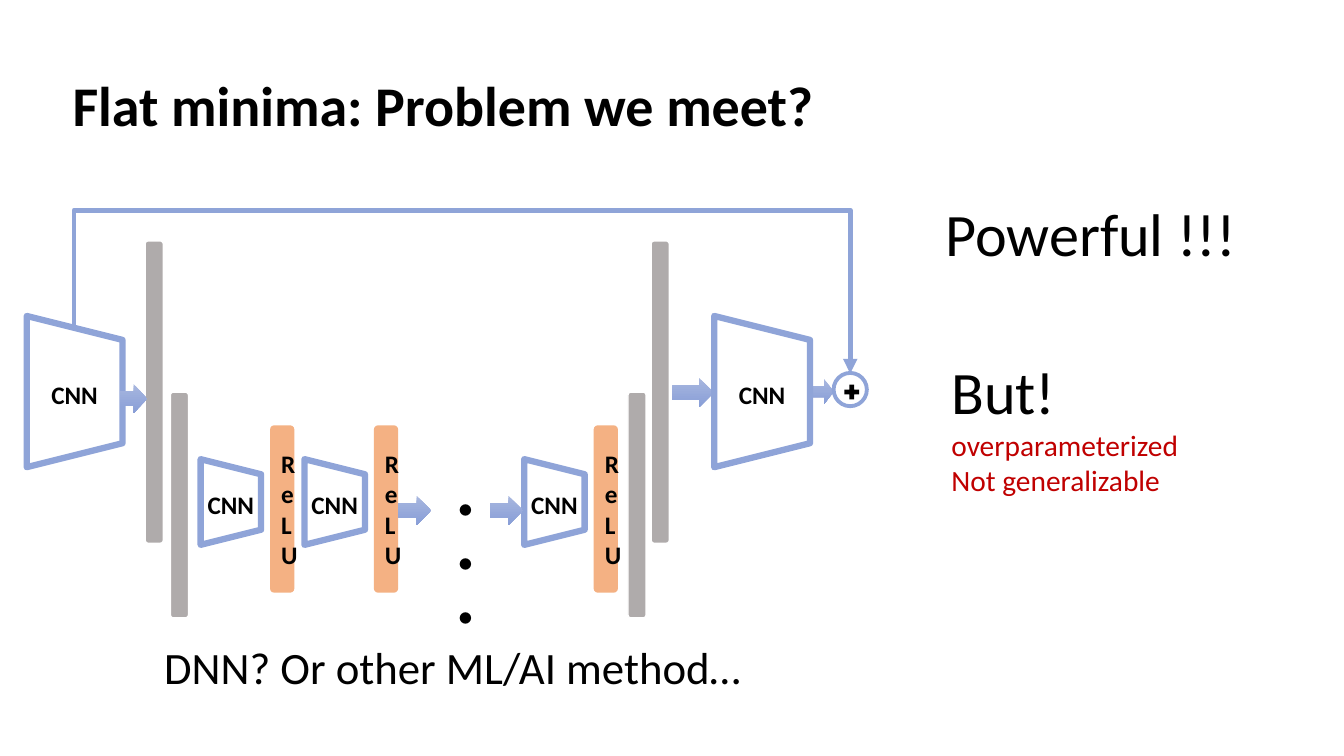
from dataclasses import dataclass

from lxml.etree import SubElement
from pptx import Presentation
from pptx.dml.color import RGBColor
from pptx.enum.shapes import MSO_CONNECTOR, MSO_SHAPE
from pptx.enum.text import MSO_ANCHOR, PP_ALIGN
from pptx.oxml.ns import qn
from pptx.util import Inches, Pt


@dataclass(frozen=True)
class Theme:
    """Colours, fonts and type sizes."""
    ink: str = "000000"
    paper: str = "FFFFFF"
    blue: str = "8FA4D8"
    light: str = "A8B7DF"
    dark: str = "889ED7"
    orange: str = "F4B183"
    gray: str = "AFABAB"
    red: str = "C00000"
    font: str = "Calibri"
    east: str = "Noto Sans CJK SC"
    title: int = 40
    huge: int = 43
    large: int = 32
    note: int = 21
    label: int = 18


THEME = Theme()
COLS, ROWS = 133.33, 75


def grid(*cells):
    """Turn grid cells of a tenth of an inch into lengths."""
    return [Inches(cell / 10) for cell in cells]


def rgb(code):
    """Make a colour from its hex code."""
    return RGBColor.from_string(code)


def style(para, size, color=THEME.ink, bold=False, font=THEME.font):
    """Set the font of a paragraph."""
    face = para.font
    face.name, face.size, face.bold = font, Pt(size), bold
    face.color.rgb = rgb(color)


def write(shapes, box, lines, align=PP_ALIGN.LEFT, **look):
    """Add a text box from pairs of text, size and colour."""
    frame = shapes.add_textbox(*grid(*box)).text_frame
    frame.word_wrap = True
    for i, (text, size, color) in enumerate(lines):
        para = frame.add_paragraph() if i else frame.paragraphs[0]
        para.text, para.alignment = text, align
        style(para, size, color, **look)
    return frame


def draw(shapes, kind, box, fill=None, line=None, width=1):
    """Add a preset shape with a plain fill and outline."""
    shape = shapes.add_shape(kind, *grid(*box))
    shape.shadow.inherit = False
    if fill:
        shape.fill.solid()
        shape.fill.fore_color.rgb = rgb(fill)
    else:
        shape.fill.background()
    if line:
        shape.line.color.rgb = rgb(line)
        shape.line.width = Pt(width)
    else:
        shape.line.fill.background()
    return shape


def arrow(shapes, box, adjust=()):
    """Add a shaded block arrow."""
    shape = draw(shapes, MSO_SHAPE.RIGHT_ARROW, box)
    shape.fill.gradient()
    shape.fill.gradient_angle = 270
    for stop, color in zip(shape.fill.gradient_stops, (THEME.light, THEME.dark)):
        stop.color.rgb = rgb(color)
    for i, value in enumerate(adjust):
        shape.adjustments[i] = value


def cnn(shapes, mid, row, tall, deep, span, top):
    """Add a labelled CNN block, turned to narrow rightwards."""
    group = shapes.add_group_shape().shapes
    box = (mid - tall / 2, row - deep / 2, tall, deep)
    block = draw(group, MSO_SHAPE.TRAPEZOID, box, THEME.paper, THEME.blue, 4.5)
    block.rotation = 90
    write(group, (mid - span / 2, top, span, 4),
          [("CNN", THEME.label, THEME.ink)], PP_ALIGN.CENTER, bold=True)


def relu(shapes, left):
    """Add an orange ReLU bar."""
    bar = draw(shapes, MSO_SHAPE.ROUNDED_RECTANGLE, (left, 42.2, 2.4, 16.6), THEME.orange)
    frame = bar.text_frame
    frame.word_wrap = True
    frame.vertical_anchor = MSO_ANCHOR.MIDDLE
    para = frame.paragraphs[0]
    para.text, para.alignment = "ReLU", PP_ALIGN.CENTER
    style(para, THEME.label, bold=True)


def skip(shapes):
    """Add the skip link that bends over the network."""
    link = shapes.add_connector(MSO_CONNECTOR.ELBOW, *grid(48.1, -3.7, 43.6, 73.3))
    link.line.color.rgb = rgb(THEME.blue)
    link.line.width = Pt(3.5)
    props = link._element.spPr
    props.find(qn("a:xfrm")).set("rot", "16200000")
    guides = props.find(qn("a:prstGeom")).find(qn("a:avLst"))
    SubElement(guides, qn("a:gd"), name="adj1", fmla="val -259900")
    SubElement(props.find(qn("a:ln")), qn("a:tailEnd"), type="triangle")
    SubElement(props, qn("a:effectLst"))


def network(shapes):
    """Draw the residual network."""
    arrow(shapes, (66.7, 37.5, 4.1, 2.9))
    arrow(shapes, (80.4, 37.6, 2.3, 2.5), (0.44, 0.41))
    for mid in (7.4, 75.6):
        cnn(shapes, mid, 38.85, 15, 9.5, 10.2, 37.1)
    for left in (26.8, 37.1, 58.9):
        relu(shapes, left)
        cnn(shapes, left - 3.9, 49.8, 8.5, 6, 6.8, 48.1)
    for left, top, tall in ((14.4, 23.9, 30), (16.9, 38.9, 22.4),
                            (62.3, 38.9, 22.4), (64.6, 23.9, 30)):
        draw(shapes, MSO_SHAPE.ROUNDED_RECTANGLE, (left, top, 1.8, tall),
             THEME.gray, THEME.paper)
    draw(shapes, MSO_SHAPE.OVAL, (82.7, 37, 3.3, 3.3), line=THEME.blue, width=2.75)
    draw(shapes, MSO_SHAPE.MATH_PLUS, (83.5, 37.9, 2, 2), THEME.ink)
    arrow(shapes, (11.9, 38.1, 2.7, 2.9))
    for left in (39.5, 48.6):
        arrow(shapes, (left, 49.2, 3.3, 2.9))
    dots = write(shapes, (43, 47.4, 8.1, 6.4), [("···", THEME.large, THEME.ink)],
                 bold=True, font=THEME.east)
    face = dots.paragraphs[0].runs[0]._r.get_or_add_rPr()
    for tag in ("a:latin", "a:ea"):
        SubElement(face, qn(tag), typeface=THEME.east)
    skip(shapes)


def main():
    """Build and save the slide."""
    deck = Presentation()
    deck.slide_width, deck.slide_height = grid(COLS, ROWS)
    shapes = deck.slides.add_slide(deck.slide_layouts[5]).shapes
    title = shapes.title
    title.left, title.top, title.width, title.height = grid(6.2, 7.2, 121, 7.1)
    title.text_frame.vertical_anchor = MSO_ANCHOR.TOP
    para = title.text_frame.paragraphs[0]
    para.text, para.alignment = "Flat minima: Problem we meet?", PP_ALIGN.LEFT
    para.line_spacing = 0.9
    style(para, THEME.title, bold=True)
    network(shapes)
    write(shapes, (15.3, 63, 83.1, 6.4),
          [("DNN? Or other ML/AI method…", THEME.large, THEME.ink)])
    write(shapes, (92.8, 19, 40.1, 8.2), [("Powerful !!!", THEME.huge, THEME.ink)])
    write(shapes, (93.4, 34.7, 40.1, 15.3),
          [("But!", THEME.huge, THEME.ink),
           ("overparameterized", THEME.note, THEME.red),
           ("Not generalizable", THEME.note, THEME.red)])
    deck.save("out.pptx")


if __name__ == "__main__":
    main()
